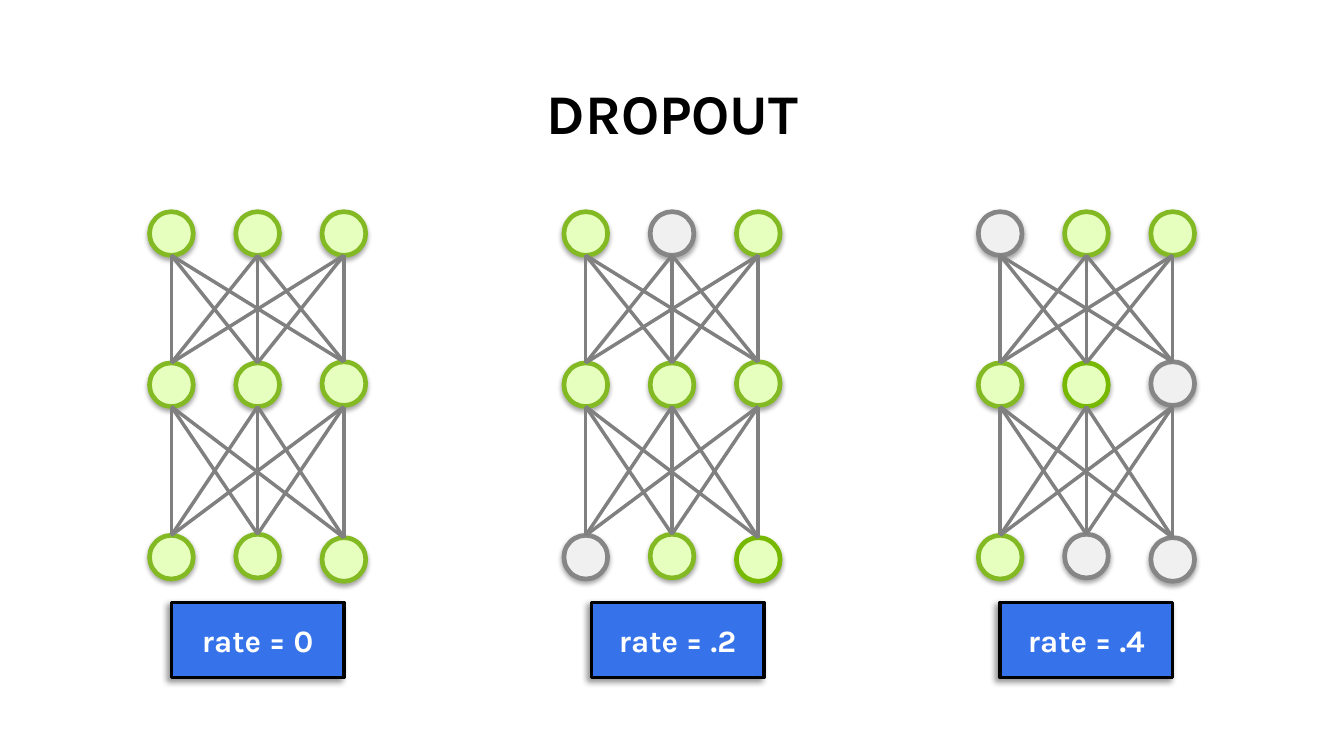
from itertools import product

from lxml import etree
from pptx import Presentation
from pptx import util as u
from pptx.dml.color import RGBColor
from pptx.enum import shapes, text
from pptx.oxml import ns

COLORS = {
    "black": "000000", "white": "FFFFFF", "edge": "808080", "label": "3673EB",
    "active": "E7FFBE", "active_line": "83BA24", "bright_line": "76B900",
    "dropped": "F0F0F0", "dropped_line": "868686",
}
NODE_STYLES = {
    "A": ("active", "active_line"),
    "B": ("active", "bright_line"),
    "D": ("dropped", "dropped_line"),
}
COLUMNS, ROWS = 120, 67.5
NODE = 3.9
NODE_GAP = 7.7
NETWORK_GAP = 37
LAYER_TOPS = [(18.9, 18.9, 18.9), (32.4, 32.4, 32.3), (47.8, 47.7, 48)]
NETWORKS = [
    ("rate = 0", 15.3, ("AAA", "AAA", "AAA")),
    ("rate = .2", 52.8, ("ADA", "AAA", "DAB")),
    ("rate = .4", 89.3, ("DAA", "ABD", "ADD")),
]


class SlideBuilder:
    font = "Karla"

    def __init__(self, deck):
        self.cell_width = deck.slide_width / COLUMNS
        self.cell_height = deck.slide_height / ROWS
        self.page = deck.slides.add_slide(deck.slide_layouts[6])

    def place(self, *lengths):
        cells = (self.cell_width, self.cell_height) * 2
        return [round(length * cell) for length, cell in zip(lengths, cells)]

    def color(self, name):
        return RGBColor.from_string(COLORS[name])

    def add_words(self, box, words, size, color, anchor):
        frame = box.text_frame
        frame.word_wrap = True
        frame.vertical_anchor = anchor
        para = frame.paragraphs[0]
        para.alignment = text.PP_ALIGN.CENTER
        span = para.add_run()
        span.text = words
        span.font.name = self.font
        span.font.size = u.Pt(size)
        span.font.bold = True
        span.font.color.rgb = self.color(color)
        return para

    def title(self, words, *area):
        box = self.page.shapes.add_textbox(*self.place(*area))
        para = self.add_words(box, words, 36, "black", text.MSO_ANCHOR.BOTTOM)
        para.line_spacing = 0.9

    def shape(self, kind, area, fill, line, width, shadow):
        shape = self.page.shapes.add_shape(kind, *self.place(*area))
        shape.fill.solid()
        shape.fill.fore_color.rgb = self.color(fill)
        shape.line.color.rgb = self.color(line)
        shape.line.width = u.Pt(width)
        shape.shadow.inherit = False
        opacity, blur, distance, angle = shadow
        effects = shape.element.spPr.find(ns.qn("a:effectLst"))
        outer = etree.SubElement(
            effects, ns.qn("a:outerShdw"), blurRad=str(u.Pt(blur)),
            dist=str(u.Pt(distance)), dir=str(angle * 60000), rotWithShape="0")
        tint = etree.SubElement(outer, ns.qn("a:srgbClr"), val=COLORS["black"])
        etree.SubElement(tint, ns.qn("a:alpha"), val=str(opacity * 1000))
        return shape

    def node(self, center, top, state):
        fill, line = NODE_STYLES[state]
        self.shape(shapes.MSO_SHAPE.OVAL, (center - NODE / 2, top, NODE, NODE),
                   fill, line, 3, (34, 3.1, 1.8, 90))

    def edge(self, *ends):
        line = self.page.shapes.add_connector(
            shapes.MSO_CONNECTOR.STRAIGHT, *self.place(*ends))
        line.line.color.rgb = self.color("edge")
        line.line.width = u.Pt(2.25)
        etree.SubElement(line.element.spPr, ns.qn("a:effectLst"))

    def label(self, words, left):
        box = self.shape(shapes.MSO_SHAPE.RECTANGLE,
                         (left, 53.8, 2 * NODE_GAP, 6.7),
                         "label", "black", 2.25, (40, 4, 3, 135))
        self.add_words(box, words, 20, "white", text.MSO_ANCHOR.MIDDLE)

    def network(self, left, layers):
        centers = [left + NODE_GAP * index for index in range(3)]
        for tops, states in zip(LAYER_TOPS, layers):
            for center, top, state in zip(centers, tops, states):
                self.node(center, top, state)
        for upper, lower in zip(LAYER_TOPS, LAYER_TOPS[1:]):
            bottom = max(upper) + NODE
            for start, (end, top) in product(centers, zip(centers, lower)):
                self.edge(start, bottom, end, top)


def main():
    deck = Presentation()
    deck.slide_width = u.Inches(12)
    deck.slide_height = u.Inches(6.75)
    slide = SlideBuilder(deck)
    slide.title("DROPOUT", 5.5, 7.1, 109.1, 6.5)
    for index, (rate, label_left, layers) in enumerate(NETWORKS):
        slide.network(15.3 + NETWORK_GAP * index, layers)
        slide.label(rate, label_left)
    deck.save("out.pptx")


if __name__ == "__main__":
    main()
